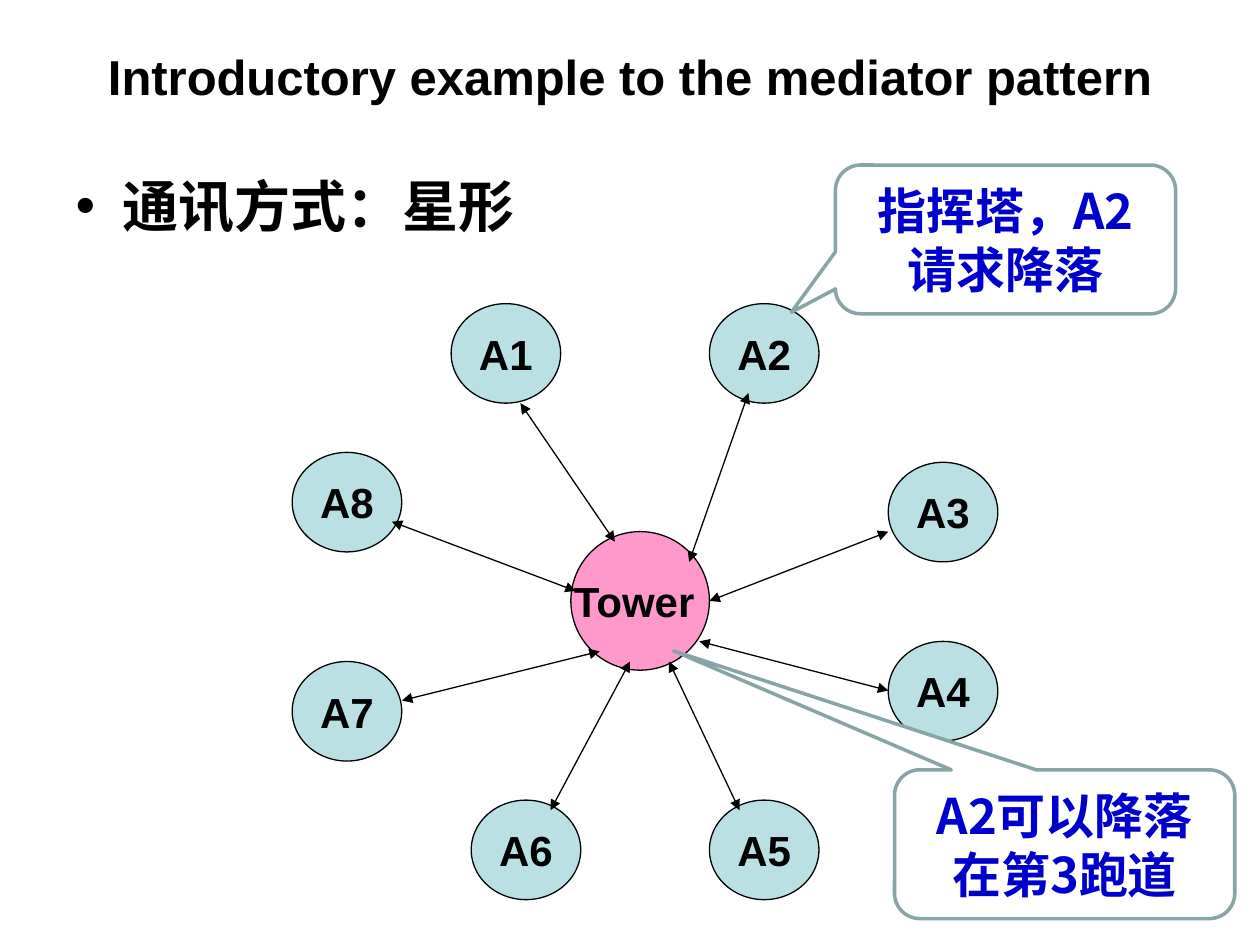
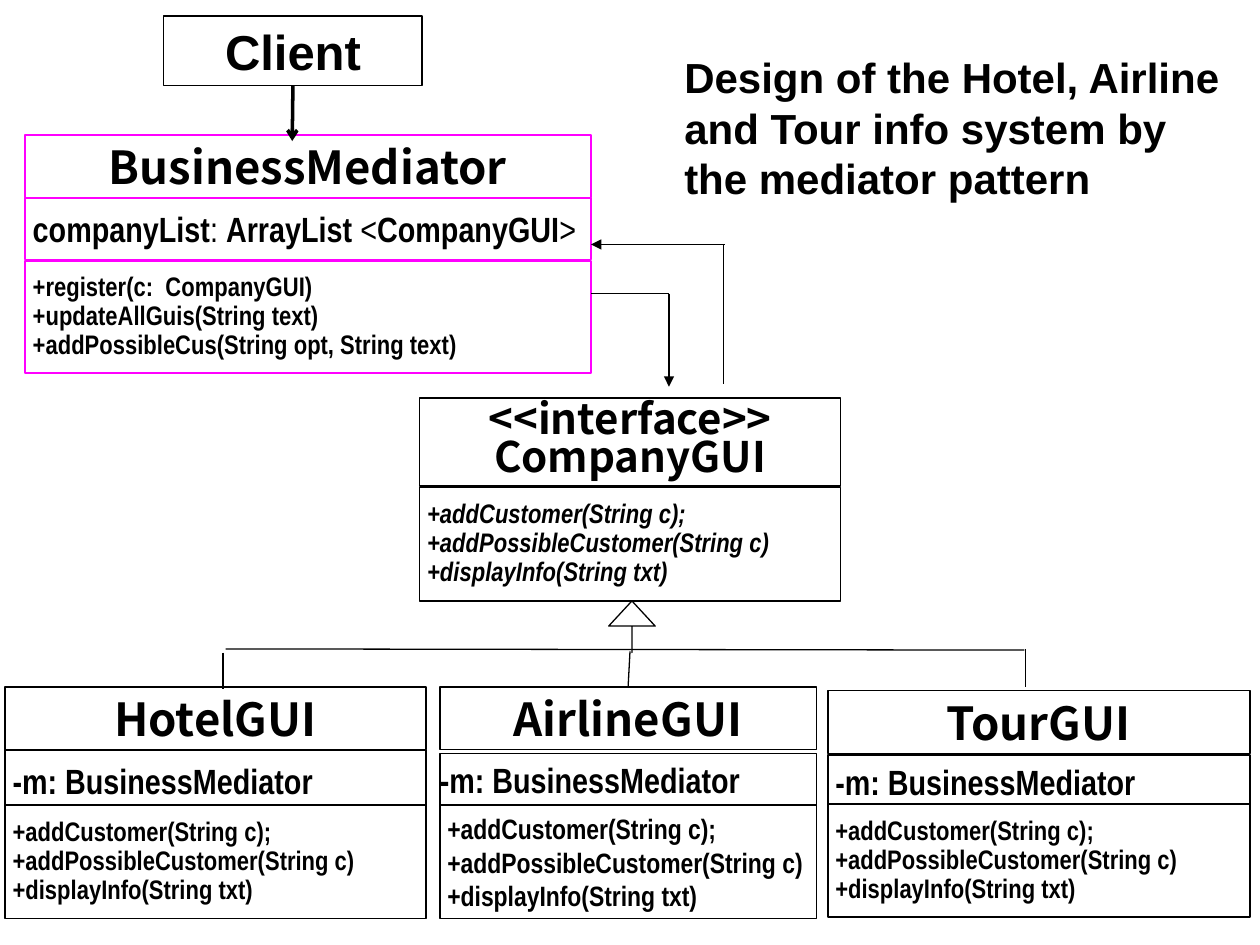
from lxml import etree
from pptx import Presentation
from pptx.dml.color import RGBColor
from pptx.enum import shapes as kinds, text as styles
from pptx.oxml.ns import qn
from pptx.util import Pt

COLORS = {
    "black": "000000", "white": "FFFFFF", "aircraft": "BBE0E3", "tower": "FF99CC",
    "callout": "89A4A7", "speech": "0000CC", "mediator": "FF00FF",
}
SANS, NARROW, CHINESE = "Arial", "Arial Narrow", "Noto Sans CJK SC"
LEFT, CENTER = styles.PP_ALIGN.LEFT, styles.PP_ALIGN.CENTER
TOP, MIDDLE = styles.MSO_ANCHOR.TOP, styles.MSO_ANCHOR.MIDDLE
OVAL, RECTANGLE = kinds.MSO_SHAPE.OVAL, kinds.MSO_SHAPE.RECTANGLE

# Slide 1: the star of aircraft around the tower
STAR_TITLE = ["Introductory example to the mediator pattern"]
STAR_POINT = ["通讯方式：星形"]
AIRCRAFT_SIZE = (62.6, 56.9)
TOWER = ("Tower ", (326.2, 303.8, 79.2, 79.2))
# name, left and top, link end at the tower, link end at the aircraft
AIRCRAFT = [
    ("A1", (257.8, 173.5), (351.4, 309.6), (297.4, 230.4)),
    ("A2", (405.4, 173.5), (393.8, 321.1), (427.7, 224.6)),
    ("A3", (507.6, 264.2), (405.4, 343.4), (507.6, 303.8)),
    ("A4", (507.6, 366.5), (399.6, 366.5), (507.6, 394.6)),
    ("A5", (405.4, 457.2), (382.3, 378), (422.6, 463)),
    ("A6", (269.3, 457.2), (360, 378), (314.6, 463)),
    ("A7", (167, 378), (342.7, 372.2), (229.7, 400.3)),
    ("A8", (167, 258.5), (329, 337.7), (223.9, 298.1)),
]
CALLOUT_SIZE = (194.4, 85)
# words, left and top, callout adjustments
CALLOUTS = [
    ("指挥塔，A2请求降落", (477.4, 94.3), (-0.63, 0.49, 0.17)),
    ("A2可以降落在第3跑道", (511.2, 439.9), (-1.15, -1.3, 0.17)),
]

# Slide 2: the class diagram
DESIGN_TITLE = ["Design of the Hotel, Airline", "and Tour info system by", "the mediator pattern"]
CLIENT = ("Client", (93.6, 9.2, 147.6, 39.8))
ROW_STYLES = {
    "name": dict(size=26, font=CHINESE, align=CENTER),
    "interface": dict(size=24, font=CHINESE, align=CENTER, spacing=0.75),
    "fields": dict(size=20, font=NARROW),
    "methods": dict(size=15.3, font=NARROW, spacing=0.9),
}
GUI_FIELDS = ["-m: BusinessMediator"]
GUI_METHODS = [
    "+addCustomer(String c);", "+addPossibleCustomer(String c)", "+displayInfo(String txt)",
]
MEDIATOR_FIELDS = [[
    ("companyList", True), (": ", False), ("ArrayList ", True),
    ("<", False), ("CompanyGUI", True), (">", False),
]]
MEDIATOR_METHODS = [
    "+register(c:  CompanyGUI)", "+updateAllGuis(String text)",
    "+addPossibleCus(String opt, String text)",
]
# Each row: style, top, height, lines, changes to the style
CLASSES = [
    dict(left=2.9, width=240.5, line="black", rows=[
        ("name", 392.4, 36, ["HotelGUI"], {}),
        ("fields", 428.4, 35.3, GUI_FIELDS, {}),
        ("methods", 460.1, 64.8, GUI_METHODS, {}),
    ]),
    dict(left=473, width=241.2, line="black", rows=[
        ("name", 394.6, 36, ["TourGUI"], {}),
        ("fields", 431.3, 31, GUI_FIELDS, {}),
        ("methods", 459.4, 64.8, GUI_METHODS, {}),
    ]),
    dict(left=14.4, width=323.3, line="mediator", rows=[
        ("name", 77, 36, ["BusinessMediator"], {}),
        ("fields", 113, 35.3, MEDIATOR_FIELDS, {}),
        ("methods", 149, 64.1, MEDIATOR_METHODS, {}),
    ]),
    dict(left=251.3, width=215.3, line="black", rows=[
        ("name", 392.4, 36, ["AirlineGUI"], {}),
        ("fields", 430.6, 29.5, GUI_FIELDS, dict(margins=(0, 0))),
        ("methods", 460.1, 64.8, GUI_METHODS, dict(size=16, spacing=None)),
    ]),
    dict(left=239.8, width=240.5, line="black", rows=[
        ("interface", 227.5, 50.4, ["<<interface>>", "CompanyGUI"], {}),
        ("methods", 278.6, 64.8, GUI_METHODS, dict(italic=True)),
    ]),
]
INHERITANCE_ARROW = (347.8, 343.4, 26.6, 29.5)
INHERITANCE_LINES = [
    ((128.9, 370.8), (585.4, 371.5)),
    ((127.4, 373), (127.4, 393.8)),
    ((586.1, 370.8), (586.1, 392.4)),
]
AIRLINE_LINE = ((360, 372.2), (358.9, 392.4))
# start, end, format of each call between the mediator and the interface
CALL_LINES = [
    ((337.7, 167.8), (382.3, 167.8), {}),
    ((382.3, 167.8), (382.3, 221), dict(width=1, tail="triangle")),
    ((413.3, 139.7), (413.3, 219.6), {}),
    ((414, 139.7), (337.7, 139.7), dict(tail="triangle")),
]
CLIENT_LINE = ((167.4, 49), (167, 80.6))


def rgb(name):
    return RGBColor.from_string(COLORS[name])


def write_text(shape, lines, size=24, font=SANS, color="black", italic=False, align=LEFT,
               anchor=MIDDLE, spacing=None, margins=(7.2, 3.6), wrap=True):
    """Fill a shape; a line is a string or a list of (text, bold) parts."""
    frame = shape.text_frame
    frame.auto_size = styles.MSO_AUTO_SIZE.NONE
    frame.word_wrap = wrap
    frame.vertical_anchor = anchor
    frame.margin_left = frame.margin_right = Pt(margins[0])
    frame.margin_top = frame.margin_bottom = Pt(margins[1])
    for number, line in enumerate(lines):
        paragraph = frame.add_paragraph() if number else frame.paragraphs[0]
        paragraph.alignment = align
        paragraph.space_before = Pt(0)
        if spacing:
            paragraph.line_spacing = spacing
        for words, bold in [(line, True)] if isinstance(line, str) else line:
            run = paragraph.add_run()
            run.text = words
            run.font.size = Pt(size)
            run.font.bold = bold
            run.font.italic = italic
            run.font.color.rgb = rgb(color)
            run.font.name = font
            etree.SubElement(run._r.get_or_add_rPr(), qn("a:ea"), typeface=font)


def place(shape, box):
    shape.left, shape.top, shape.width, shape.height = map(Pt, box)


def add_title(slide, lines, box, **text_format):
    place(slide.shapes.title, box)
    write_text(slide.shapes.title, lines, **text_format)


def add_box(slide, kind, box, fill="white", line="black", width=0.75):
    shape = slide.shapes.add_shape(kind, *map(Pt, box))
    shape.shadow.inherit = False
    shape.fill.solid()
    shape.fill.fore_color.rgb = rgb(fill)
    shape.line.color.rgb = rgb(line)
    shape.line.width = Pt(width)
    return shape


def add_line(slide, start, end, width=0.75, head=None, tail=None):
    connector = slide.shapes.add_connector(
        kinds.MSO_CONNECTOR.STRAIGHT, *map(Pt, (*start, *end)))
    connector.line.color.rgb = rgb("black")
    connector.line.width = Pt(width)
    outline = connector.line._get_or_add_ln()
    for tag, arrow in (("a:headEnd", head), ("a:tailEnd", tail)):
        if arrow:
            etree.SubElement(outline, qn(tag), type=arrow)
    etree.SubElement(connector._element.spPr, qn("a:effectLst"))
    return connector


def build_star(presentation):
    slide = presentation.slides.add_slide(presentation.slide_layouts[1])
    add_title(slide, STAR_TITLE, (36, 21.6, 648, 43.9), size=28, align=CENTER)
    body = slide.placeholders[1]
    place(body, (36, 94.3, 315.4, 47.5))
    write_text(body, STAR_POINT, size=32, font=CHINESE, anchor=TOP)

    circles = [(name, (*corner, *AIRCRAFT_SIZE), "aircraft") for name, corner, *_ in AIRCRAFT]
    for name, box, fill in circles + [(*TOWER, "tower")]:
        circle = add_box(slide, OVAL, box, fill)
        write_text(circle, [name], align=CENTER, wrap=False)
    for _, _, tower_end, aircraft_end in AIRCRAFT:
        add_line(slide, tower_end, aircraft_end, head="triangle", tail="triangle")
    for words, corner, adjustments in CALLOUTS:
        callout = add_box(slide, kinds.MSO_SHAPE.ROUNDED_RECTANGULAR_CALLOUT,
                          (*corner, *CALLOUT_SIZE), line="callout", width=2)
        for number, value in enumerate(adjustments):
            callout.adjustments[number] = value
        write_text(callout, [words], size=28, font=CHINESE, color="speech", align=CENTER)


def build_class_diagram(presentation):
    slide = presentation.slides.add_slide(presentation.slide_layouts[5])
    add_title(slide, DESIGN_TITLE, (383.8, 25.9, 321.1, 93.6), anchor=TOP, wrap=False)

    name_boxes = {}
    for entry in CLASSES:
        for style, top, height, lines, changes in entry["rows"]:
            row = add_box(slide, RECTANGLE, (entry["left"], top, entry["width"], height),
                          line=entry["line"], width=1)
            write_text(row, lines, **{"margins": (4.3, 2.2), **ROW_STYLES[style], **changes})
            if style == "name":
                name_boxes[lines[0]] = row

    for start, end in INHERITANCE_LINES:
        add_line(slide, start, end)
    add_line(slide, *AIRLINE_LINE).end_connect(name_boxes["AirlineGUI"], 0)
    arrow = add_box(slide, kinds.MSO_SHAPE.DOWN_ARROW, INHERITANCE_ARROW)
    arrow.rotation = 180
    arrow.adjustments[0], arrow.adjustments[1] = 0, 0.54
    for start, end, line_format in CALL_LINES:
        add_line(slide, start, end, **line_format)

    name, box = CLIENT
    client = add_box(slide, RECTANGLE, box)
    write_text(client, [name], size=28, align=CENTER, wrap=False)
    add_line(slide, *CLIENT_LINE, width=2, tail="arrow").begin_connect(client, 2)


def main():
    presentation = Presentation()
    presentation.slide_width, presentation.slide_height = Pt(720), Pt(540)
    build_star(presentation)
    build_class_diagram(presentation)
    presentation.save("out.pptx")


if __name__ == "__main__":
    main()
